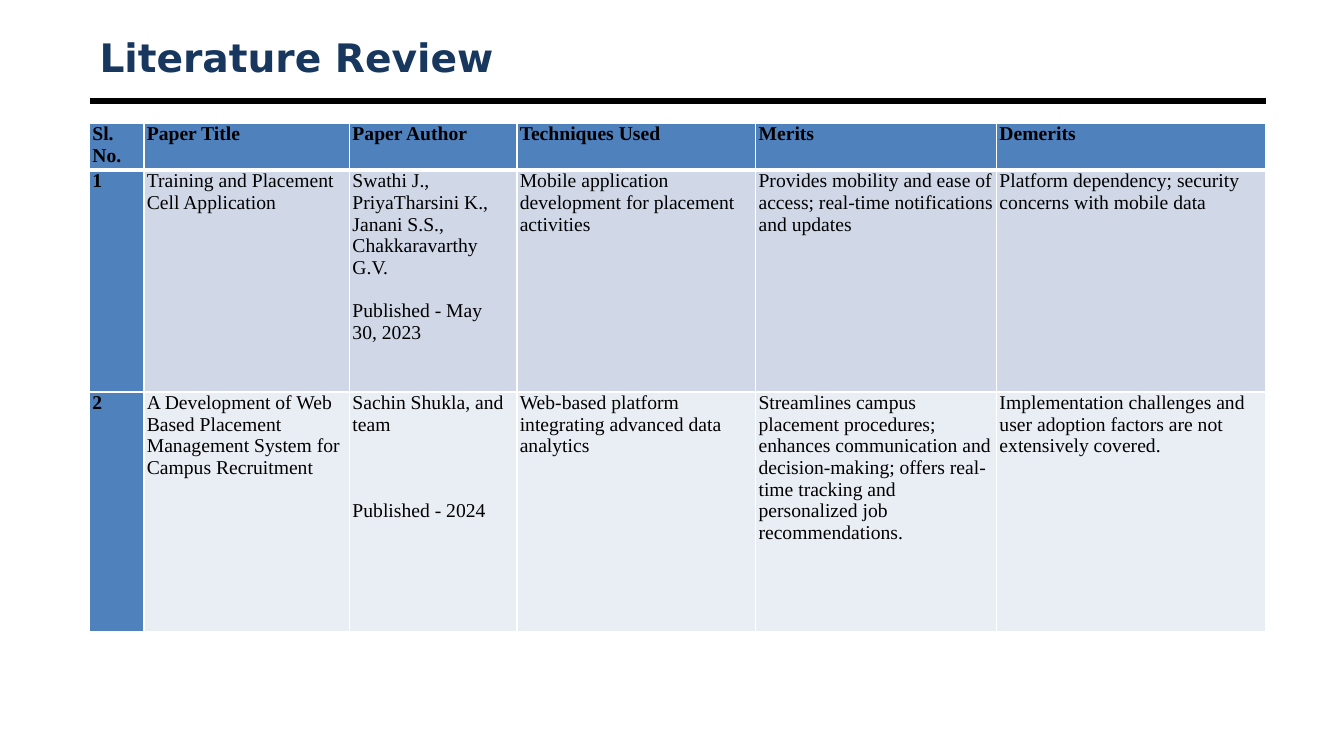
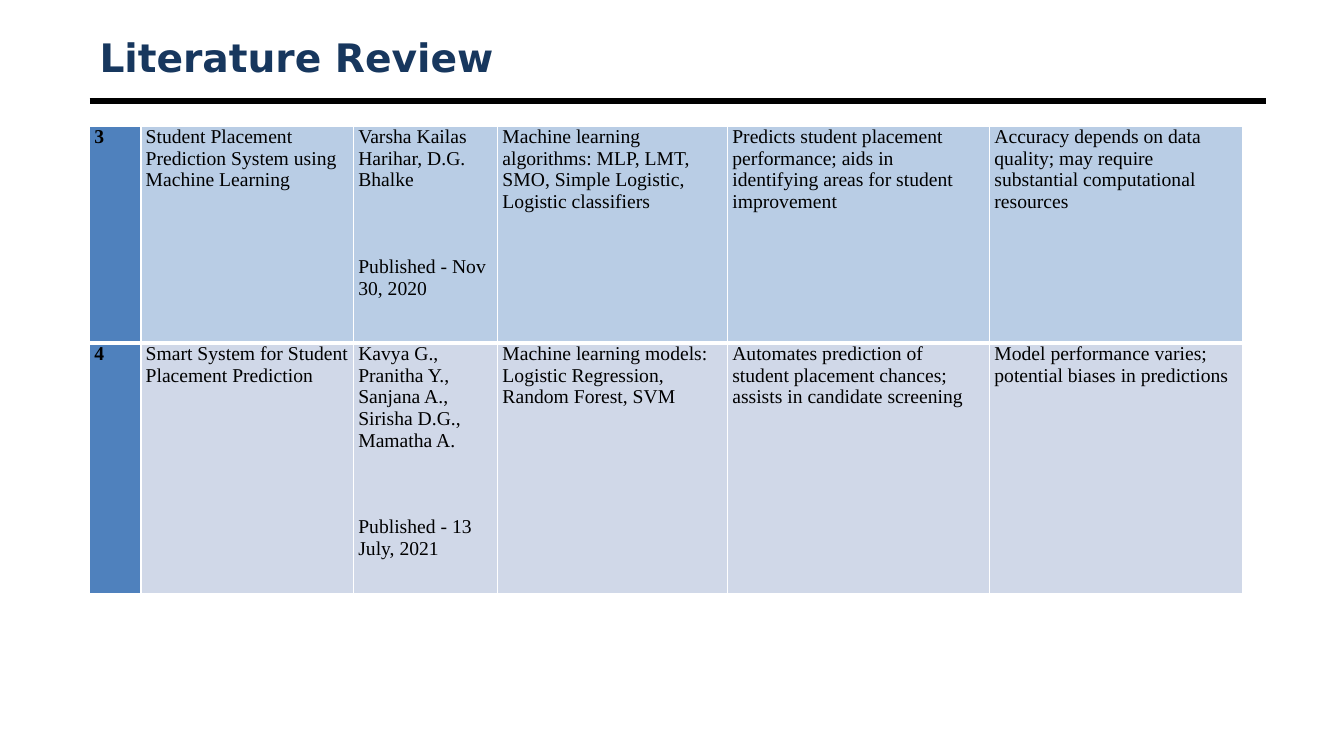
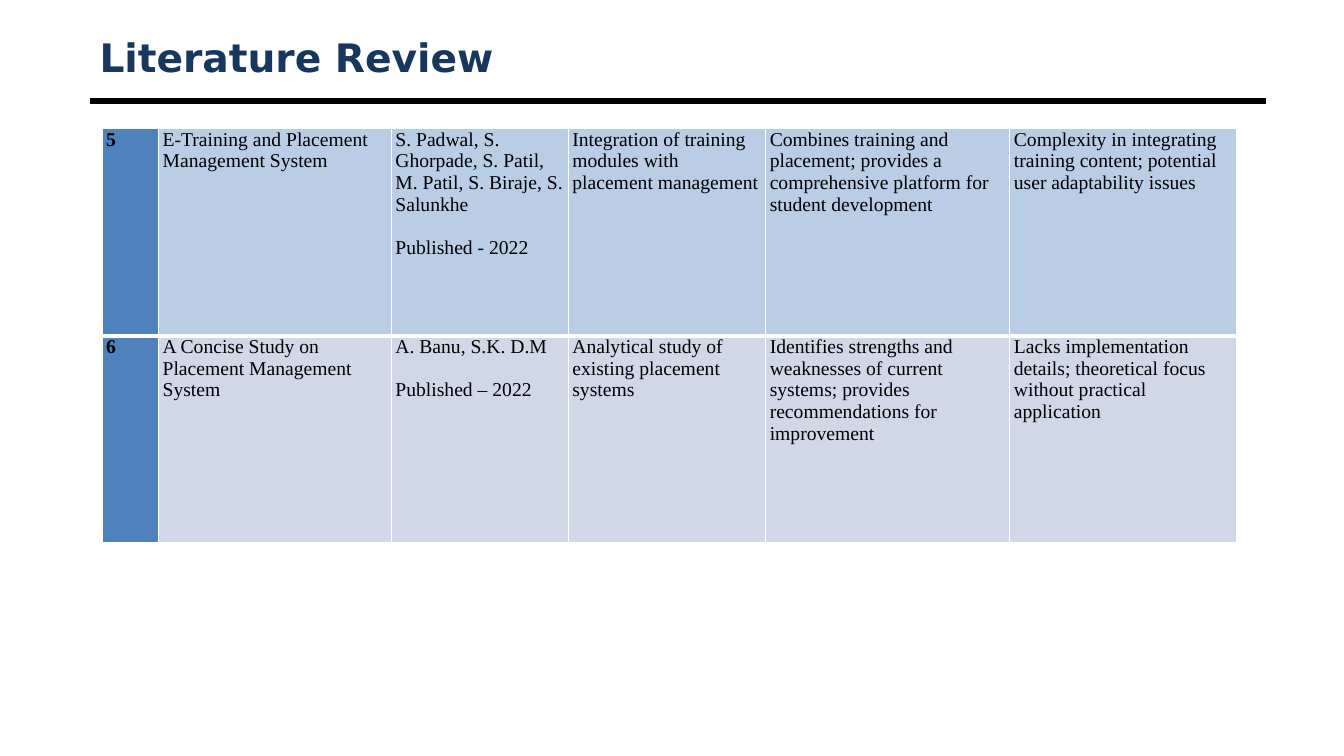
from lxml.etree import SubElement as Sub
from pptx import Presentation as Deck
from pptx.dml.color import RGBColor as Rgb
from pptx.enum.shapes import MSO_CONNECTOR as Conn
from pptx.enum.text import MSO_ANCHOR as Anchor
from pptx.oxml import parse_xml
from pptx.oxml.ns import nsdecls, qn
from pptx.util import Pt

HUES = {
    "title": "17375E", "ink": "000000", "edge": "FFFFFF", "head": "4F81BD",
    "blue": "B9CDE5", "mist": "D0D8E8", "pale": "E9EDF4",
}
TITLE = {"name": "DejaVu Sans", "size": Pt(28), "bold": True}
BODY = {"name": "Times New Roman", "size": Pt(14), "bold": False}
STRONG = {**BODY, "bold": True}
LEFT, WIDTH, RULE = 64, 840, 72
LINE = 15.5

HEADS = ("Sl. No.", "Paper Title", "Paper Author", "Techniques Used", "Merits", "Demerits")

PAGES = [
    {
        "at": (64, 88), "pad": 2,
        "cols": (38.9, 146.9, 119.5, 170.6, 172.1, 192.2),
        "rows": [
            (27, "head", 3, HEADS),
            (158.4, "mist", 1, (
                "1", "Training and Placement Cell Application",
                ("Swathi J., PriyaTharsini K., Janani S.S., Chakkaravarthy G.V.",
                 1, "Published - May", "30, 2023"),
                "Mobile application development for placement activities",
                "Provides mobility and ease of access; real-time notifications and updates",
                "Platform dependency; security concerns with mobile data")),
            (171.4, "pale", 1, (
                "2",
                "A Development of Web Based Placement Management System for Campus Recruitment",
                ("Sachin Shukla, and team", 3, "Published - 2024"),
                "Web-based platform integrating advanced data analytics",
                "Streamlines campus placement procedures; enhances communication and "
                "decision-making; offers real-time tracking and personalized job recommendations.",
                "Implementation challenges and user adoption factors are not extensively covered.")),
        ],
    },
    {
        "at": (64, 90), "pad": 3.4,
        "cols": (36.7, 151.9, 103, 164.2, 187.2, 180.7),
        "rows": [
            (155, "blue", 3, (
                "3", "Student Placement Prediction System using Machine Learning",
                ("Varsha Kailas Harihar, D.G. Bhalke", 3, "Published - Nov 30, 2020"),
                "Machine learning algorithms: MLP, LMT, SMO, Simple Logistic, Logistic classifiers",
                "Predicts student placement performance; aids in identifying areas for "
                "student improvement",
                "Accuracy depends on data quality; may require substantial computational resources")),
            (178.7, "mist", 1, (
                "4", "Smart System for Student Placement Prediction",
                ("Kavya G., Pranitha Y., Sanjana A., Sirisha D.G., Mamatha A.",
                 3, "Published - 13 July, 2021"),
                "Machine learning models: Logistic Regression, Random Forest, SVM",
                "Automates prediction of student placement chances; assists in candidate screening",
                "Model performance varies; potential biases in predictions")),
        ],
    },
    {
        "at": (73, 92), "pad": 2.9,
        "cols": (40.3, 166.3, 126.4, 141, 174.4, 162),
        "rows": [
            (148, "blue", 3, (
                "5", "E-Training and Placement Management System",
                ("S. Padwal, S. Ghorpade, S. Patil, M. Patil, S. Biraje, S. Salunkhe",
                 1, "Published - 2022"),
                "Integration of training modules with placement management",
                "Combines training and placement; provides a comprehensive platform for "
                "student development",
                "Complexity in integrating training content; potential user adaptability issues")),
            (147.8, "mist", 1, (
                "6", "A Concise Study on Placement Management System",
                ("A. Banu, S.K. D.M", 1, "Published – 2022"),
                "Analytical study of existing placement systems",
                "Identifies strengths and weaknesses of current systems; provides "
                "recommendations for improvement",
                "Lacks implementation details; theoretical focus without practical application")),
        ],
    },
]


def hue(key):
    return Rgb.from_string(HUES[key])


def apply(item, form):
    for key, val in form.items():
        setattr(item, key, val)


def write(para, text, form, tint):
    run = para.add_run()
    run.text = text
    apply(run.font, form)
    run.font.color.rgb = hue(tint)


def add_head(slide):
    rule = slide.shapes.add_connector(
        Conn.STRAIGHT, Pt(LEFT), Pt(RULE), Pt(LEFT + WIDTH), Pt(RULE))
    rule.line.width = Pt(4.5)
    rule.line.color.rgb = hue("ink")
    Sub(rule._element.spPr, qn("a:effectLst"))
    box = slide.shapes.add_textbox(Pt(LEFT), Pt(21.6), Pt(WIDTH), Pt(38))
    apply(box.text_frame, {"word_wrap": True, "vertical_anchor": Anchor.MIDDLE})
    write(box.text_frame.paragraphs[0], "Literature Review", TITLE, "title")


def add_edges(cell, base):
    props = cell._tc.get_or_add_tcPr()
    for i, (side, wide) in enumerate(zip("LRTB", (1, 1, 1, base))):
        props.insert(i, parse_xml(
            f'<a:ln{side} {nsdecls("a")} w="{Pt(wide)}"><a:solidFill>'
            f'<a:srgbClr val="{HUES["edge"]}"/></a:solidFill></a:ln{side}>'))


def fill_cell(cell, text, form, tint, base, pad):
    apply(cell, {"margin_left": Pt(pad), "margin_right": Pt(pad),
                 "margin_top": 0, "margin_bottom": 0})
    cell.fill.solid()
    cell.fill.fore_color.rgb = hue(tint)
    add_edges(cell, base)
    name, gap, *dates = (text, 0) if isinstance(text, str) else text
    frame = cell.text_frame
    write(frame.paragraphs[0], name, form, "ink")
    for i, date in enumerate(dates):
        para = frame.add_paragraph()
        if i == 0:
            para.space_before = Pt(gap * LINE)
        write(para, date, form, "ink")


def add_grid(slide, at, pad, cols, rows):
    left, top = at
    high = sum(row[0] for row in rows)
    grid = slide.shapes.add_table(
        len(rows), len(cols), Pt(left), Pt(top), Pt(sum(cols)), Pt(high)).table
    apply(grid, {"first_row": False, "horz_banding": False})
    for col, wide in zip(grid.columns, cols):
        col.width = Pt(wide)
    for r, (tall, tint, base, texts) in enumerate(rows):
        grid.rows[r].height = Pt(tall)
        for c, text in enumerate(texts):
            key = c == 0 or tint == "head"
            fill_cell(grid.cell(r, c), text, STRONG if key else BODY,
                      "head" if key else tint, base, pad)


def main():
    deck = Deck()
    apply(deck, {"slide_width": Pt(960), "slide_height": Pt(540)})
    for page in PAGES:
        slide = deck.slides.add_slide(deck.slide_layouts[6])
        add_head(slide)
        add_grid(slide, **page)
    deck.save("out.pptx")


if __name__ == "__main__":
    main()
